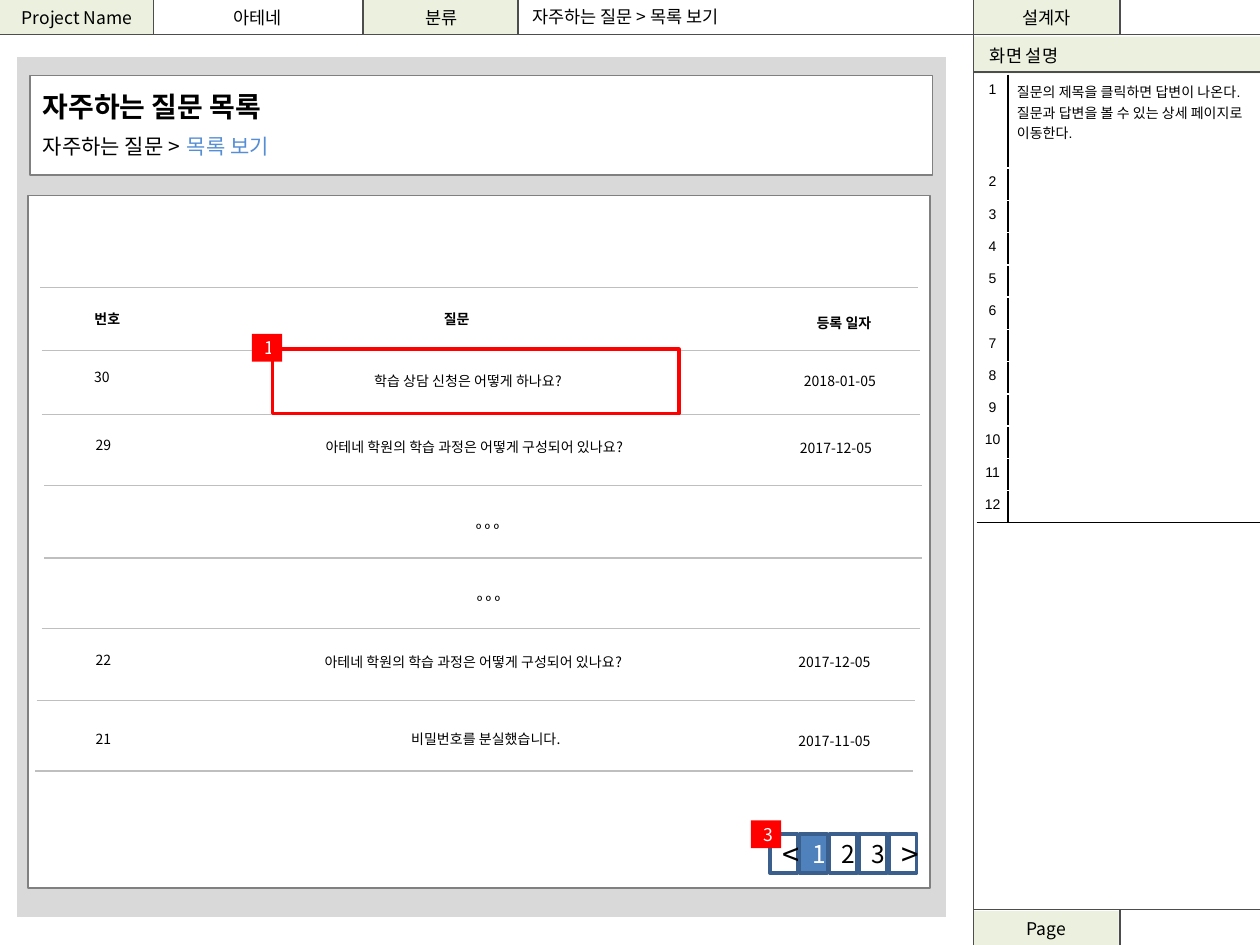
from lxml.etree import SubElement
from pptx import Presentation
from pptx.dml.color import RGBColor
from pptx.enum.shapes import MSO_CONNECTOR as CONN, MSO_SHAPE as SHAPE
from pptx.enum.text import MSO_ANCHOR as ANCHOR, MSO_AUTO_SIZE as AUTO, PP_ALIGN as ALIGN
from pptx.oxml.ns import qn
from pptx.util import Cm, Pt

COLORS = {
    "black": "000000", "white": "FFFFFF", "header": "EBF1DE", "grid": "4D4D4D",
    "panel": "D9D9D9", "frame": "808080", "rule": "BFBFBF", "link": "558ED5",
    "pager": "3A5F8C", "current": "4F81BD", "marker": "FF0000",
}
KR = "Noto Sans CJK KR"


def rgb(name):
    return RGBColor.from_string(COLORS[name])


def style(font, size, color="black", bold=False, name=KR):
    font.size, font.bold, font.name = Pt(size), bold, name
    font.color.rgb = rgb(color)
    SubElement(font._element, qn("a:ea"), typeface=KR)


def outline(sp, fill, line, width):
    if fill:
        sp.fill.solid()
        sp.fill.fore_color.rgb = rgb(fill)
    else:
        sp.fill.background()
    if line:
        sp.line.color.rgb = rgb(line)
        sp.line.width = Pt(width)
    else:
        sp.line.fill.background()


def write(tf, text, size, color="black", bold=False, align=ALIGN.CENTER, anchor=ANCHOR.MIDDLE):
    tf.word_wrap = True
    tf.vertical_anchor = anchor
    p = tf.paragraphs[0]
    p.text = text
    p.alignment = align
    style(p.font, size, color, bold)


def add_rect(slide, x, y, w, h, fill=None, line=None, width=1):
    sp = slide.shapes.add_shape(SHAPE.RECTANGLE, Cm(x), Cm(y), Cm(w), Cm(h))
    sp.shadow.inherit = False
    outline(sp, fill, line, width)
    return sp


def add_label(slide, x, y, w, h, text, size, **kw):
    sp = slide.shapes.add_textbox(Cm(x), Cm(y), Cm(w), Cm(h))
    write(sp.text_frame, text, size, **kw)


def add_line(slide, x1, y1, x2, y2, color):
    cxn = slide.shapes.add_connector(CONN.STRAIGHT, Cm(x1), Cm(y1), Cm(x2), Cm(y2))
    cxn.line.color.rgb = rgb(color)
    cxn.line.width = Pt(0.75)
    SubElement(cxn._element.spPr, qn("a:effectLst"))


def add_marker(slide, x, y, text):
    sp = add_rect(slide, x, y, 0.61, 0.56, "marker")
    write(sp.text_frame, text, 10, "white")


def add_form(slide, x, y, w, h):
    side, bar = x + 19.63, 0.69
    foot = y + h - 0.71
    for left, top, width, height, text, align in [
        (side, foot + 0.03, 2.92, bar, "Page", ALIGN.CENTER),
        (side, y, 2.92, bar, "설계자", ALIGN.CENTER),
        (side, y + 0.74, 5.77, 0.74, " 화면 설명", ALIGN.LEFT),
        (x + 7.34, y, 3.12, bar, "분류", ALIGN.CENTER),
        (x, y, 3.1, bar, "Project Name", ALIGN.CENTER),
    ]:
        sp = add_rect(slide, left, top, width, height, "header")
        write(sp.text_frame, text, 10, align=align)
    add_label(slide, x + 3.1, y + 0.03, 4.19, 0.64, "아테네", 10)
    add_label(slide, x + 10.49, y, 7.59, bar, "자주하는 질문 > 목록 보기", 10,
              align=ALIGN.LEFT, anchor=ANCHOR.TOP)
    for dx in (3.1, 7.32, 10.44, 22.58):
        add_line(slide, x + dx, y, x + dx, y + bar, "grid")
    for left, top in ((x, y + bar), (side, y + 1.45), (side, foot)):
        add_line(slide, left, top, x + w, top, "grid")
    add_line(slide, side, y, side, y + h, "grid")
    add_line(slide, x + 22.58, foot, x + 22.58, y + h, "grid")


def add_heading(slide, x, y, w, h):
    sp = slide.shapes.title
    slide.shapes._spTree.append(sp._element)
    sp.left, sp.top, sp.width, sp.height = Cm(x), Cm(y), Cm(w), Cm(h)
    outline(sp, "white", "frame", 1)
    tf = sp.text_frame
    tf.auto_size = AUTO.NONE
    write(tf, "자주하는 질문 목록", 16, bold=True, align=ALIGN.LEFT)
    p = tf.add_paragraph()
    p.alignment = ALIGN.LEFT
    for text, size, color in (("자주하는 질문 >", 12, "black"), (" ", 18, "black"),
                              ("목록 보기", 12, "link")):
        r = p.add_run()
        r.text = text
        style(r.font, size, color)


def add_pager(slide, x, y):
    for i, text in enumerate("<123>"):
        current = text == "1"
        sp = add_rect(slide, x + 0.6 * i, y, 0.56, 0.79,
                      "current" if current else "white", "pager", 2)
        write(sp.text_frame, text, 14 if text.isdigit() else 18,
              "white" if current else "black")


def add_question_list(slide, x, y, w, h):
    add_rect(slide, x, y, w, h, "white", "frame", 1)
    for dx, dy in [(0.25, 1.85), (0.28, 3.12), (0.28, 4.42), (0.33, 5.84),
                   (0.33, 7.31), (0.28, 8.73), (0.18, 10.18), (0.15, 11.6)]:
        add_line(slide, x + dx, y + dy, x + dx + 17.7, y + dy, "rule")
    for dx, dy, width, text in [(0.41, 1.9, 2.39, "번호"), (6.58, 1.9, 4.14, "질문"),
                                (15.26, 1.98, 2.39, "등록 일자")]:
        add_label(slide, x + dx, y + dy, width, 1.19, text, 8, bold=True)
    course = "아테네 학원의 학습 과정은 어떻게 구성되어 있나요?"
    for dx, dy, width, text in [
        (0.3, 3.07, 2.39, "30"),
        (3.35, 3.15, 11.05, "학습 상담 신청은 어떻게 하나요?"),
        (14.43, 3.15, 3.89, "2018-01-05"),
        (0.33, 4.44, 2.39, "29"), (3.3, 4.47, 11.4, course), (14.35, 4.49, 3.89, "2017-12-05"),
        (4.42, 6.14, 9.7, "º º º"),
        (4.44, 7.59, 9.7, "º º º"),
        (0.33, 8.76, 2.39, "22"), (3.28, 8.81, 11.4, course), (14.32, 8.81, 3.89, "2017-12-05"),
        (0.33, 10.36, 2.39, "21"), (3.28, 10.36, 11.91, "비밀번호를 분실했습니다."),
        (14.32, 10.41, 3.89, "2017-11-05"),
    ]:
        add_label(slide, x + dx, y + dy, width, 1.19, text, 8)
    add_pager(slide, x + 14.96, y + 12.87)
    add_marker(slide, x + 4.52, y + 2.79, "1")
    add_marker(slide, x + 14.58, y + 12.6, "3")
    add_rect(slide, x + 4.93, y + 3.1, 8.2, 1.3, line="marker", width=2)


def set_borders(cell, sides):
    tcPr = cell._tc.get_or_add_tcPr()
    for side in sides:
        ln = SubElement(tcPr, qn("a:ln" + side), w=str(Pt(0.75)))
        fill = SubElement(ln, qn("a:solidFill"))
        SubElement(fill, qn("a:srgbClr"), val=COLORS["black"])


def add_notes_table(slide, x, y, w, h):
    rows, row_h = 12, 0.65
    tbl = slide.shapes.add_table(rows, 2, Cm(x), Cm(y), Cm(w), Cm(h)).table
    tbl.first_row = tbl.horz_banding = False
    tbl.columns[0].width, tbl.columns[1].width = Cm(0.62), Cm(w - 0.62)
    description = ("질문의 제목을 클릭하면 답변이 나온다. "
                   "질문과 답변을 볼 수 있는 상세 페이지로 이동한다.")
    for i in range(rows):
        tbl.rows[i].height = Cm(row_h if i else h - row_h * (rows - 1))
        texts = (str(i + 1), "" if i else description)
        for j, (text, inset, sides) in enumerate(zip(texts, (0.1, 0.18), ("RB", "LB"))):
            cell = tbl.cell(i, j)
            set_borders(cell, sides)
            cell.fill.background()
            cell.margin_left = cell.margin_right = Cm(inset)
            cell.margin_top = cell.margin_bottom = Cm(0.12)
            p = cell.text_frame.paragraphs[0]
            p.alignment = ALIGN.LEFT if j else ALIGN.CENTER
            style(p.font, 8, name="Arial")
            if text:
                p.text = text
            else:
                SubElement(p._p, qn("a:endParaRPr"), sz="800")


def main():
    prs = Presentation()
    prs.slide_width, prs.slide_height = Cm(25.4), Cm(19.05)
    slide = prs.slides.add_slide(prs.slide_layouts[5])
    add_form(slide, 0, 0, 25.4, 19.05)
    add_rect(slide, 0.3, 1.12, 18.8, 17.4, "panel", "white", 2)
    add_heading(slide, 0.61, 1.52, 18.19, 2.01)
    add_question_list(slide, 0.56, 3.94, 18.19, 13.97)
    add_notes_table(slide, 19.7, 1.52, 5.7, 9.02)
    prs.save("out.pptx")


if __name__ == "__main__":
    main()
